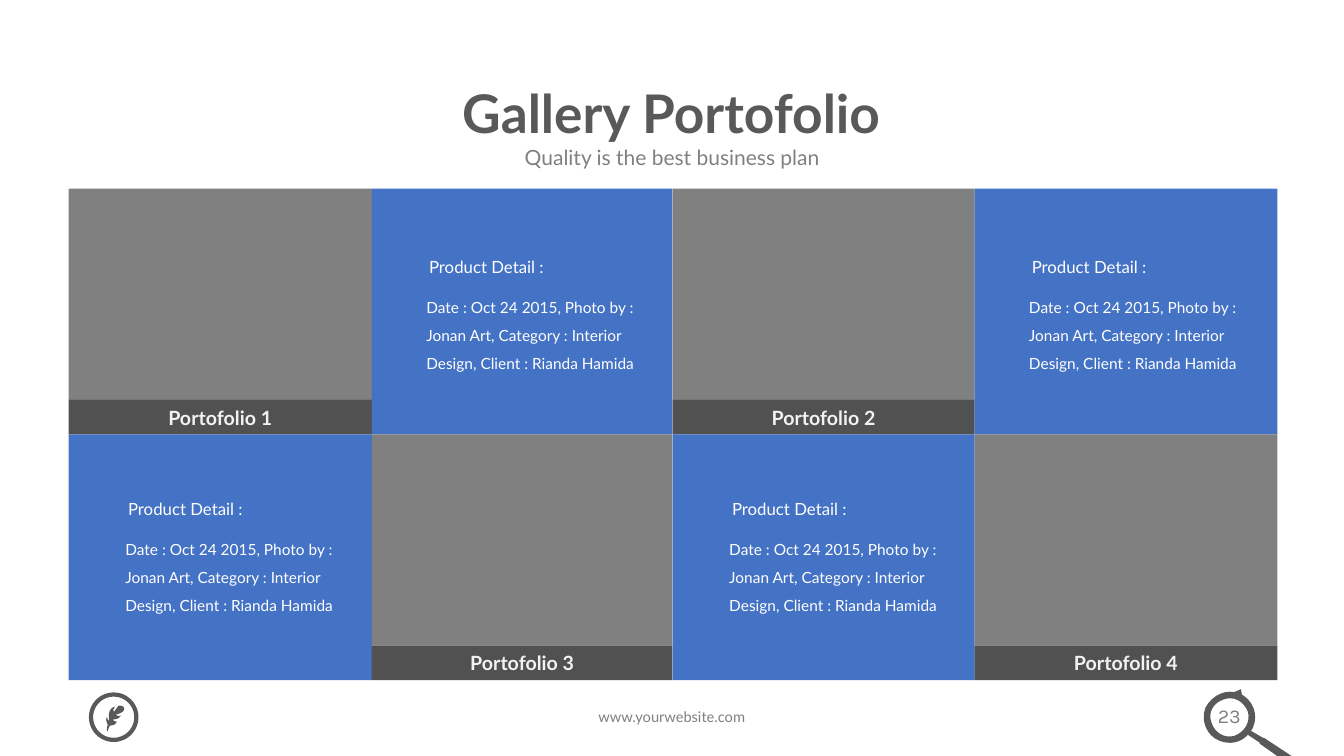
from dataclasses import dataclass

from lxml import etree
from pptx import Presentation
from pptx.dml.color import RGBColor
from pptx.enum.shapes import MSO_SHAPE
from pptx.enum.text import MSO_ANCHOR, PP_ALIGN
from pptx.oxml.ns import qn
from pptx.shapes.autoshape import Shape
from pptx.slide import Slide
from pptx.text.text import TextFrame
from pptx.util import Pt

RECT, OVAL, ARROW = MSO_SHAPE.RECTANGLE, MSO_SHAPE.OVAL, MSO_SHAPE.RIGHT_ARROW
LEFT, CENTER = PP_ALIGN.LEFT, PP_ALIGN.CENTER
TOP, MIDDLE = MSO_ANCHOR.TOP, MSO_ANCHOR.MIDDLE

Box = tuple[float, float, float, float]
Segment = tuple[int, ...]


@dataclass(frozen=True)
class Theme:
    font: str = "Lato"
    number_font: str = "Karla"
    dark: str = "595959"
    grey: str = "808080"
    blue: str = "4472C4"
    caption: str = "262626"
    caption_text: str = "F2F2F2"
    white: str = "FFFFFF"
    title_size: float = 38
    subtitle_size: float = 15
    caption_size: float = 14
    heading_size: float = 12
    detail_size: float = 11
    footer_size: float = 10.5


@dataclass(frozen=True)
class Row:
    top: float
    heading_top: float
    indent: float


@dataclass(frozen=True)
class Contour:
    start: tuple[int, int]
    segments: list[Segment]


@dataclass(frozen=True)
class Icon:
    left: float
    top: float
    contours: list[Contour]


THEME = Theme()
COLUMN_EDGES = [49, 265.7, 480.4, 696.2, 912.4]
CELL_H, CAPTION_H = 175.5, 24.6
ROWS = [Row(134.8, 44.4, 31.7), Row(310.3, 41.8, 33.4)]
DETAIL = ("Date : Oct 24 2015, Photo by : Jonan Art, Category : Interior "
          "Design, Client : Rianda Hamida")
ICON_UNIT = 72

MAGNIFIER = Icon(856.8, 495.36, [
    Contour((35, 42), [
        (25, 45, 15, 39, 12, 29), (8, 19, 14, 9, 24, 6),
        (34, 2, 44, 8, 48, 18), (51, 28, 45, 38, 35, 42)]),
    Contour((102, 69), [
        (99, 67, 64, 44, 64, 44), (64, 44, 64, 44, 63, 44), (51, 37),
        (52, 36, 53, 35, 53, 34), (59, 21, 53, 6, 40, 0),
        (27, -5, 13, 1, 6, 14), (1, 27, 7, 42, 20, 47),
        (30, 51, 41, 49, 48, 41), (60, 49), (59, 50, 60, 50, 60, 50),
        (60, 50, 94, 74, 98, 76), (100, 77, 101, 76, 102, 74),
        (102, 74, 105, 72, 102, 69)]),
])
FEATHER = Icon(75.6, 504, [
    Contour((2, 25), [
        (2, 24, 3, 22, 4, 20), (7, 19, 9, 20, 11, 16), (9, 16, 7, 15, 7, 14),
        (7, 13, 12, 15, 15, 10), (11, 11, 10, 9, 10, 9), (12, 8, 15, 8, 17, 6),
        (18, 5, 19, 3, 18, 2), (18, 1, 15, -1, 13, 0), (12, 0, 9, 6, 8, 6),
        (7, 6, 7, 3, 9, 1), (7, 1, 5, 3, 4, 5), (2, 8, 4, 15, 3, 15),
        (3, 16, 1, 12, 1, 11), (0, 13, 0, 15, 2, 19), (1, 21, 1, 23, 1, 25),
        (1, 26, 2, 26, 2, 25)]),
])


def write(tf: TextFrame, text: str, *, size: float, color: str,
          font: str = THEME.font, bold: bool = False, align: PP_ALIGN = CENTER,
          anchor: MSO_ANCHOR = MIDDLE, spacing: float = 1.0) -> None:
    tf.word_wrap = True
    tf.vertical_anchor = anchor
    p = tf.paragraphs[0]
    p.alignment = align
    p.line_spacing = spacing
    r = p.add_run()
    r.text = text
    r.font.name = font
    r.font.size = Pt(size)
    r.font.bold = bold
    r.font.color.rgb = RGBColor.from_string(color)


def add_text_box(s: Slide, box: Box) -> TextFrame:
    return s.shapes.add_textbox(*map(Pt, box)).text_frame


def paint(sp: Shape, color: str) -> None:
    sp.shadow.inherit = False
    sp.line.fill.background()
    sp.fill.solid()
    sp.fill.fore_color.rgb = RGBColor.from_string(color)


def add_block(s: Slide, box: Box, color: str, kind: MSO_SHAPE = RECT) -> Shape:
    sp = s.shapes.add_shape(kind, *map(Pt, box))
    paint(sp, color)
    return sp


def set_opacity(sp: Shape, percent: int) -> None:
    color = next(sp.element.iter(qn("a:srgbClr")))
    etree.SubElement(color, qn("a:alpha")).set("val", str(percent * 1000))


def bend(sp: Shape, segments: list[Segment], left: int, top: int) -> None:
    for line, segment in zip(list(sp.element.iter(qn("a:lnTo"))), segments):
        if len(segment) == 2:
            continue
        curve = etree.Element(qn("a:cubicBezTo"))
        for x, y in zip(segment[::2], segment[1::2]):
            pt = etree.SubElement(curve, qn("a:pt"))
            pt.set("x", str((x - left) * ICON_UNIT))
            pt.set("y", str((y - top) * ICON_UNIT))
        line.getparent().replace(line, curve)


def add_icon(s: Slide, icon: Icon) -> None:
    segments = [seg for contour in icon.contours for seg in contour.segments]
    anchors = [c.start for c in icon.contours] + [seg[-2:] for seg in segments]
    builder = s.shapes.build_freeform(scale=Pt(0.01))
    for i, contour in enumerate(icon.contours):
        points = [(x * ICON_UNIT, y * ICON_UNIT)
                  for x, y in [contour.start, *(g[-2:] for g in contour.segments)]]
        if i == 0:
            builder = s.shapes.build_freeform(*points[0], scale=Pt(0.01))
        else:
            builder.move_to(*points[0])
        builder.add_line_segments(points[1:], close=False)
        builder.add_line_segments([], close=True)
    sp = builder.convert_to_shape(Pt(icon.left), Pt(icon.top))
    bend(sp, segments, min(x for x, _ in anchors), min(y for _, y in anchors))
    paint(sp, THEME.dark)


def add_photo(s: Slide, left: float, top: float, width: float, number: int) -> None:
    photo_h = CELL_H - CAPTION_H
    add_block(s, (left, top, width, photo_h), THEME.grey)
    sp = add_block(s, (left, top + photo_h, width, CAPTION_H), THEME.caption)
    set_opacity(sp, 80)
    write(sp.text_frame, f"Portofolio {number}", size=THEME.caption_size,
          color=THEME.caption_text, bold=True)


def add_detail(s: Slide, left: float, width: float, row: Row) -> None:
    add_block(s, (left, row.top, width, CELL_H), THEME.blue)
    x, y = left + row.indent, row.top + row.heading_top
    write(add_text_box(s, (x, y + 23.8, 165, 65)), DETAIL, align=LEFT, anchor=TOP,
          size=THEME.detail_size, color=THEME.white, spacing=1.5)
    write(add_text_box(s, (x + 2, y, 126, 22.3)), "Product Detail :", align=LEFT,
          size=THEME.heading_size, color=THEME.white)


def add_footer(s: Slide) -> None:
    write(add_text_box(s, (306, 501.8, 347.8, 20.9)), "www.yourwebsite.com",
          size=THEME.footer_size, color=THEME.grey, anchor=TOP)
    write(add_text_box(s, (856.1, 499, 43.9, 24.5)), "23", anchor=TOP,
          size=THEME.caption_size, color=THEME.grey, font=THEME.number_font)
    arrow = add_block(s, (880.6, 491.8, 7.9, 7.9), THEME.dark, ARROW)
    arrow.rotation = 298.7
    arrow.adjustments[0], arrow.adjustments[1] = 0.32, 0.64
    add_icon(s, MAGNIFIER)
    badge = add_block(s, (65, 496.1, 32.4, 32.4), THEME.white, OVAL)
    badge.fill.background()
    badge.line.color.rgb = RGBColor.from_string(THEME.dark)
    badge.line.width = Pt(3)
    add_icon(s, FEATHER)


def main() -> None:
    prs = Presentation()
    prs.slide_width, prs.slide_height = Pt(960), Pt(540)
    s = prs.slides.add_slide(prs.slide_layouts[6])
    write(add_text_box(s, (119.5, 53.5, 720, 59)), "Gallery Portofolio", bold=True,
          size=THEME.title_size, color=THEME.dark, spacing=0.9)
    write(add_text_box(s, (192.5, 99, 575.3, 27)), "Quality is the best business plan",
          size=THEME.subtitle_size, color=THEME.grey)
    number = 0
    for i, row in enumerate(ROWS):
        for column, (left, right) in enumerate(zip(COLUMN_EDGES, COLUMN_EDGES[1:])):
            if (i + column) % 2 == 0:
                number += 1
                add_photo(s, left, row.top, right - left, number)
            else:
                add_detail(s, left, right - left, row)
    add_footer(s)
    prs.save("out.pptx")


if __name__ == "__main__":
    main()
